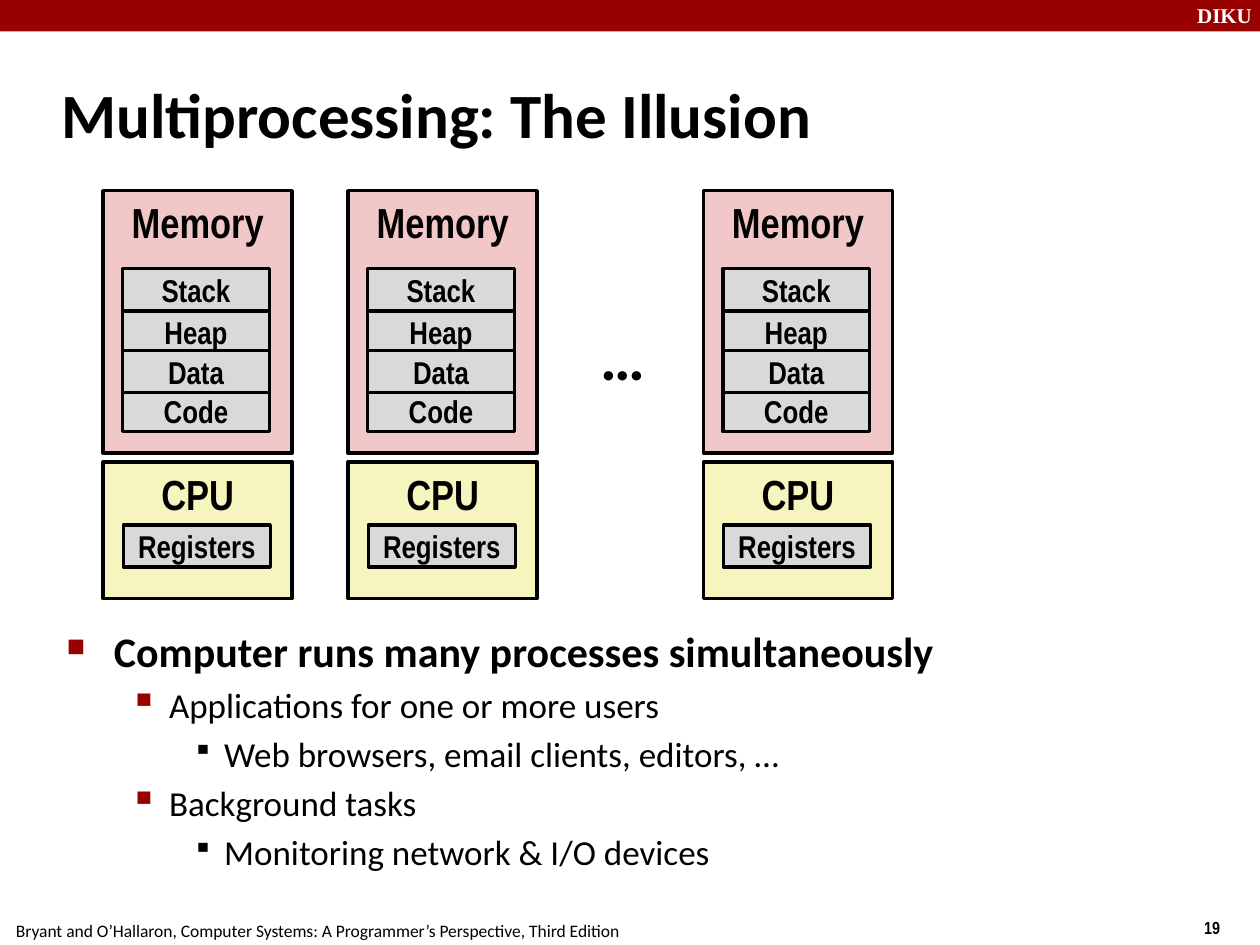
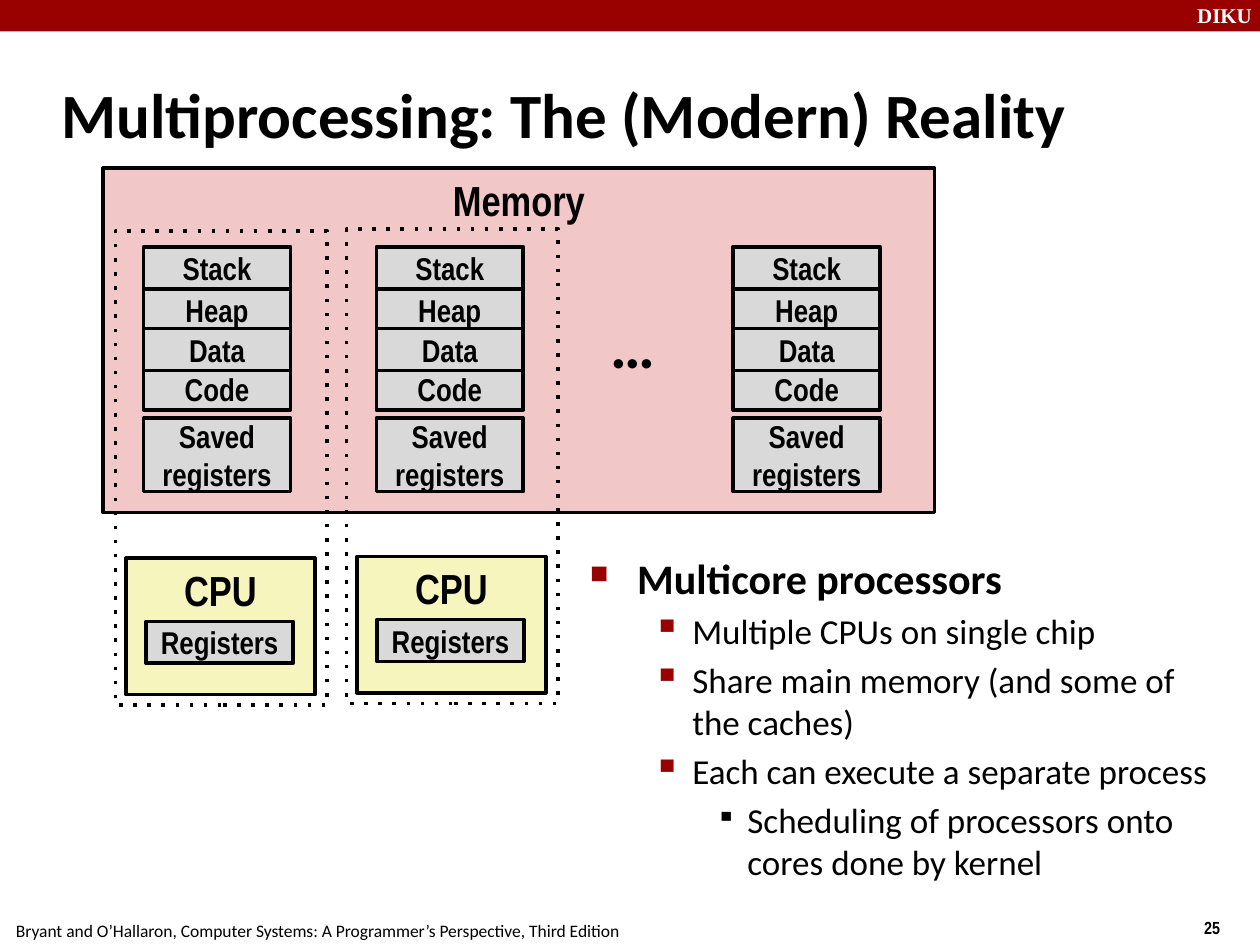
from lxml import etree
from pptx import Presentation
from pptx.dml.color import RGBColor
from pptx.enum.dml import MSO_LINE
from pptx.enum.shapes import MSO_SHAPE
from pptx.enum.text import MSO_ANCHOR, PP_ALIGN
from pptx.oxml.ns import qn
from pptx.util import Pt

RECTANGLE = MSO_SHAPE.RECTANGLE
TOP, MIDDLE = MSO_ANCHOR.TOP, MSO_ANCHOR.MIDDLE
CENTER = PP_ALIGN.CENTER
DOTTED = MSO_LINE.ROUND_DOT

BLACK = RGBColor(0x00, 0x00, 0x00)
WHITE = RGBColor(0xFF, 0xFF, 0xFF)
RED = RGBColor(0x99, 0x00, 0x00)
PINK = RGBColor(0xF1, 0xC7, 0xC7)
YELLOW = RGBColor(0xF6, 0xF5, 0xBD)
GRAY = RGBColor(0xD9, 0xD9, 0xD9)

BODY_FONT = "Calibri"
DIAGRAM_FONT = "Arial Narrow"
FOOTER = "Bryant and O’Hallaron, Computer Systems: A Programmer’s Perspective, Third Edition"

SEGMENTS = [("Stack", 0), ("Heap", 24.2), ("Code", 69.2), ("Data", 46.8)]
SEGMENT_WIDTH, SEGMENT_HEIGHT = 84, 24
CPU_WIDTH, CPU_HEIGHT = 108, 78

# level: indent, hanging, space before, bullet, bullet colour, bullet percent, size, bold
LEVELS = [
    (27, 27, 4.8, "■", RED, 60, 24, True),
    (58.5, 22.5, 4, "▪", RED, 110, 20, False),
    (90, 18, 4, "▪", BLACK, 80, 20, False),
]

SLIDES = [
    {
        "title": "Multiprocessing: The Illusion",
        "number": "19",
        "cpus": [(59, 264), (199, 264), (402, 264)],
        "memories": [(59, 109, 108, 150), (199, 109, 108, 150), (402, 109, 108, 150)],
        "stacks": [70, 210, 413],
        "stack_top": 153.4,
        "saved": False,
        "cores": [],
        "dots": (336, 178),
        "body": (31, 354, 622, 156),
        "bullets": [
            (0, "Computer runs many processes simultaneously"),
            (1, "Applications for one or more users"),
            (2, "Web browsers, email clients, editors, …"),
            (1, "Background tasks"),
            (2, "Monitoring network & I/O devices"),
        ],
    },
    {
        "title": "Multiprocessing: The (Modern) Reality",
        "number": "25",
        "cpus": [(72, 319), (204, 318)],
        "memories": [(59, 96, 475, 197)],
        "stacks": [82, 215, 419],
        "stack_top": 141,
        "saved": True,
        "cores": [(66, 132), (198, 131)],
        "dots": (342, 171),
        "body": (330, 312, 372, 210),
        "bullets": [
            (0, "Multicore processors"),
            (1, "Multiple CPUs on single chip"),
            (1, "Share main memory (and some of the caches)"),
            (1, "Each can execute a separate process"),
            (2, "Scheduling of processors onto cores done by kernel"),
        ],
    },
]


def add_text(page, frame, text, font, size, bold=True, color=BLACK, anchor=TOP):
    box = page.shapes.add_textbox(*map(Pt, frame))
    box.text_frame.word_wrap = True
    box.text_frame.vertical_anchor = anchor
    para = box.text_frame.paragraphs[0]
    para.text = text
    para.font.name = font
    para.font.size = Pt(size)
    para.font.bold = bold
    para.font.color.rgb = color


def add_block(page, frame, fill, text="", size=18, anchor=MIDDLE):
    block = page.shapes.add_shape(RECTANGLE, *map(Pt, frame))
    block.shadow.inherit = False
    if fill is None:
        block.fill.background()
    else:
        block.fill.solid()
        block.fill.fore_color.rgb = fill
    block.line.color.rgb = BLACK
    block.line.width = Pt(2)
    if text:
        block.text_frame.word_wrap = True
        block.text_frame.vertical_anchor = anchor
        para = block.text_frame.paragraphs[0]
        para.text = text
        para.alignment = CENTER
        para.font.name = DIAGRAM_FONT
        para.font.size = Pt(size)
        para.font.bold = True
        para.font.color.rgb = BLACK
    return block


deck = Presentation()
deck.slide_width, deck.slide_height = Pt(720), Pt(540)

for content in SLIDES:
    page = deck.slides.add_slide(deck.slide_layouts[6])

    band = page.shapes.add_shape(RECTANGLE, 0, 0, Pt(720), Pt(18))
    band.shadow.inherit = False
    band.fill.solid()
    band.fill.fore_color.rgb = RED
    band.line.fill.background()
    add_text(page, (677, -2, 48, 22), "DIKU", "Times New Roman", 12, color=WHITE)
    add_text(page, (681, 520.5, 54, 19.5), content["number"], DIAGRAM_FONT, 10)
    add_text(page, (2, 522, 370, 19.5), FOOTER, BODY_FONT, 10, bold=False)
    add_text(page, (28, 34.5, 668, 60), content["title"], BODY_FONT, 36, anchor=MIDDLE)

    body = page.shapes.add_textbox(*map(Pt, content["body"]))
    body.text_frame.word_wrap = True
    for index, (level, text) in enumerate(content["bullets"]):
        indent, hanging, before, bullet, color, percent, size, bold = LEVELS[level]
        para = body.text_frame.paragraphs[0] if index == 0 else body.text_frame.add_paragraph()
        para.text = text
        para.level = level
        if index:
            para.space_before = Pt(before)
        properties = para._p.get_or_add_pPr()
        properties.set("marL", str(Pt(indent)))
        properties.set("indent", str(-Pt(hanging)))
        bullet_color = etree.SubElement(properties, qn("a:buClr"))
        etree.SubElement(bullet_color, qn("a:srgbClr"), val=str(color))
        etree.SubElement(properties, qn("a:buSzPct"), val=str(percent * 1000))
        etree.SubElement(properties, qn("a:buChar"), char=bullet)
        para.font.name = BODY_FONT
        para.font.size = Pt(size)
        para.font.bold = bold
        para.font.color.rgb = BLACK

    for left, top in content["cpus"]:
        add_block(page, (left, top, CPU_WIDTH, CPU_HEIGHT), YELLOW, "CPU", 24, TOP)
        add_block(page, (left + 11.5, top + 36, SEGMENT_WIDTH, SEGMENT_HEIGHT), GRAY, "Registers")

    for frame in content["memories"]:
        add_block(page, frame, PINK, "Memory", 24, TOP)

    stack_top = content["stack_top"]
    for left in content["stacks"]:
        for name, offset in SEGMENTS:
            add_block(page, (left, stack_top + offset, SEGMENT_WIDTH, SEGMENT_HEIGHT), GRAY, name)
        if content["saved"]:
            add_block(page, (left, stack_top + 98, SEGMENT_WIDTH, 42), GRAY, "Saved registers")

    for left, top in content["cores"]:
        core = add_block(page, (left, top, 121, 271), None)
        core.line.dash_style = DOTTED
        core.element.find(".//" + qn("a:prstDash")).set("val", "dot")

    add_text(page, (*content["dots"], 52, 50), "…", BODY_FONT, 36)

deck.save("out.pptx")
